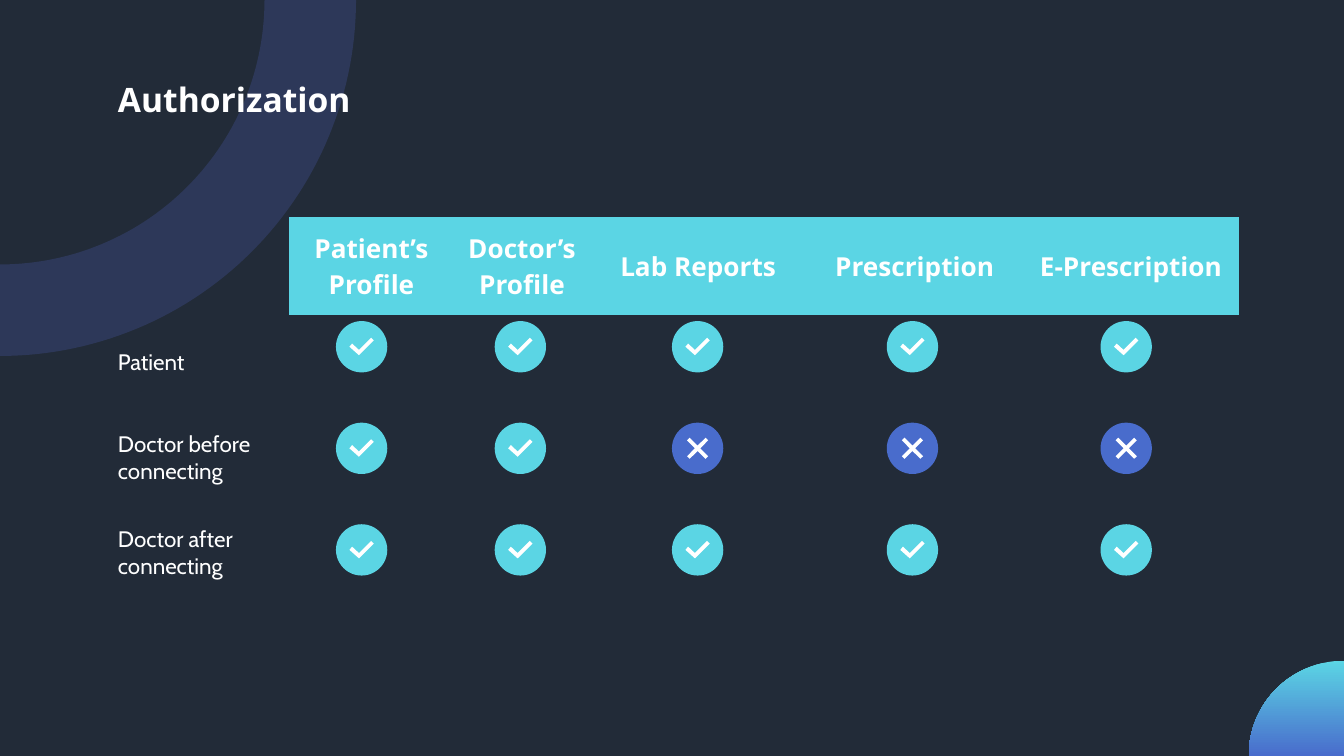
import math
import pptx
import pptx.util
import pptx.dml.color
import pptx.enum.shapes
import pptx.enum.text

Cm, Pt = pptx.util.Cm, pptx.util.Pt
Align, Anchor = pptx.enum.text.PP_ALIGN, pptx.enum.text.MSO_ANCHOR

NIGHT, NAVY, WHITE = "222B38", "2D3859", "FFFFFF"
CYAN, BLUE = "5BD5E4", "496CCC"
PLAIN = "{2D5ABB26-0587-4C30-8999-92F81FD0307C}"  # no style, no grid

TITLE = "Authorization"
HEADS = ["Patient’s Profile", "Doctor’s Profile", "Lab Reports",
         "Prescription", "E-Prescription"]
ROLES = [  # role, access to each of the five items
    ("Patient", [1, 1, 1, 1, 1]),
    ("Doctor before connecting", [1, 1, 0, 0, 0]),
    ("Doctor after connecting", [1, 1, 1, 1, 1]),
]

# All lengths in centimetres
WIDE, HIGH = 25.4, 14.29
LEFT, TOP = 1.98, 4.11
COLS = [3.48, 3.12, 2.57, 4.09, 4.09, 4.09]
ROWS = [1.24] + [1.8] * 4
PAD = 0.25
BADGE = 0.97
SPOTS = [6.35, 9.35, 12.7, 16.76, 20.8]
FIRST, STEP = 6.07, 1.92
TICK = [(0.18, -0.17), (-0.05, 0.06), (-0.18, -0.06), (-0.23, 0),
        (-0.05, 0.16), (0.23, -0.12)]
CROSS = [(-0.15, -0.2), (-0.2, -0.15), (-0.05, 0), (-0.2, 0.15),
         (-0.15, 0.2), (0, 0.05), (0.15, 0.2), (0.2, 0.15), (0.05, 0),
         (0.2, -0.15), (0.15, -0.2), (0, -0.05)]


def color(text):
    return pptx.dml.color.RGBColor.from_string(text)


def paint(shape, fill):
    shape.shadow.inherit = False
    shape.line.fill.background()
    shape.fill.solid()
    shape.fill.fore_color.rgb = color(fill)


def draw(shapes, dots, fill, x=0, y=0):
    """Add a closed outline whose points are offsets from (x, y)."""
    dots = [(Cm(x + a), Cm(y + b)) for a, b in dots]
    pen = shapes.build_freeform(*dots[0])
    pen.add_line_segments(dots[1:])
    shape = pen.convert_to_shape()
    paint(shape, fill)
    return shape


def arc(size, start, end):
    turns = [math.radians(start + (end - start) * i / 60) for i in range(61)]
    return [(size * math.cos(t), size * math.sin(t)) for t in turns]


def style(frame, face, size, bold=False, align=Align.LEFT):
    for para in frame.paragraphs:
        para.alignment = align
        for run in para.runs:
            run.font.name, run.font.size = face, Pt(size)
            run.font.bold = bold
            run.font.color.rgb = color(WHITE)


def badge(shapes, x, y, allowed):
    group = shapes.add_group_shape().shapes
    disc = group.add_shape(pptx.enum.shapes.MSO_SHAPE.OVAL,
                           Cm(x), Cm(y), Cm(BADGE), Cm(BADGE))
    paint(disc, CYAN if allowed else BLUE)
    draw(group, TICK if allowed else CROSS, WHITE,
         x + BADGE / 2, y + BADGE / 2)


def decorate(shapes):
    ring = draw(shapes, arc(6.73, 0, 90) + arc(5, 90, 0), NAVY)
    disc = draw(shapes, [(0, 0)] + arc(1.8, 180, 270), CYAN, WIDE, HIGH)
    disc.fill.gradient()
    disc.fill.gradient_angle = 270
    for stop, tone in zip(disc.fill.gradient_stops, [CYAN, BLUE]):
        stop.color.rgb = color(tone)
    for shape in (disc, ring):  # send behind the title
        shapes._spTree.insert(2, shape._element)


def write_title(title):
    title.left, title.top = Cm(LEFT), Cm(1.24)
    title.width, title.height = Cm(sum(COLS)), Cm(1.6)
    frame = title.text_frame
    frame.text = TITLE
    frame.auto_size = pptx.enum.text.MSO_AUTO_SIZE.NONE
    frame.vertical_anchor = Anchor.TOP
    frame.margin_left = frame.margin_right = Cm(PAD)
    frame.margin_top = frame.margin_bottom = Cm(PAD)
    style(frame, "Open Sans", 18, True)


def fill_table(shapes):
    table = shapes.add_table(len(ROWS), len(COLS), Cm(LEFT), Cm(TOP),
                             Cm(sum(COLS)), Cm(sum(ROWS))).table
    table.first_row = table.horz_banding = False
    table._tbl.tblPr[0].text = PLAIN
    for col, width in zip(table.columns, COLS):
        col.width = Cm(width)
    for row, height in zip(table.rows, ROWS):
        row.height = Cm(height)
    for cell in table.iter_cells():
        cell.fill.background()
        cell.vertical_anchor = Anchor.MIDDLE
        cell.margin_left = cell.margin_right = Cm(PAD)
        cell.margin_top = cell.margin_bottom = Cm(PAD)
    for c, head in enumerate(HEADS, 1):
        cell = table.cell(0, c)
        cell.fill.solid()
        cell.fill.fore_color.rgb = color(CYAN)
        cell.text_frame.text = head
        style(cell.text_frame, "Open Sans", 14, True, Align.CENTER)
    for r, (role, _) in enumerate(ROLES, 1):
        cell = table.cell(r, 0)
        cell.text_frame.text = role
        style(cell.text_frame, "Cabin", 12)
    for r in range(1, len(ROWS)):
        table.cell(r, 1).merge(table.cell(r, 2))


def main():
    deck = pptx.Presentation()
    deck.slide_width, deck.slide_height = Cm(WIDE), Cm(HIGH)
    slide = deck.slides.add_slide(deck.slide_layouts[5])
    slide.background.fill.solid()
    slide.background.fill.fore_color.rgb = color(NIGHT)
    decorate(slide.shapes)
    write_title(slide.shapes.title)
    fill_table(slide.shapes)
    for r, (_, access) in enumerate(ROLES):
        for x, allowed in zip(SPOTS, access):
            badge(slide.shapes, x, FIRST + r * STEP, allowed)
    deck.save("out.pptx")


if __name__ == "__main__":
    main()
